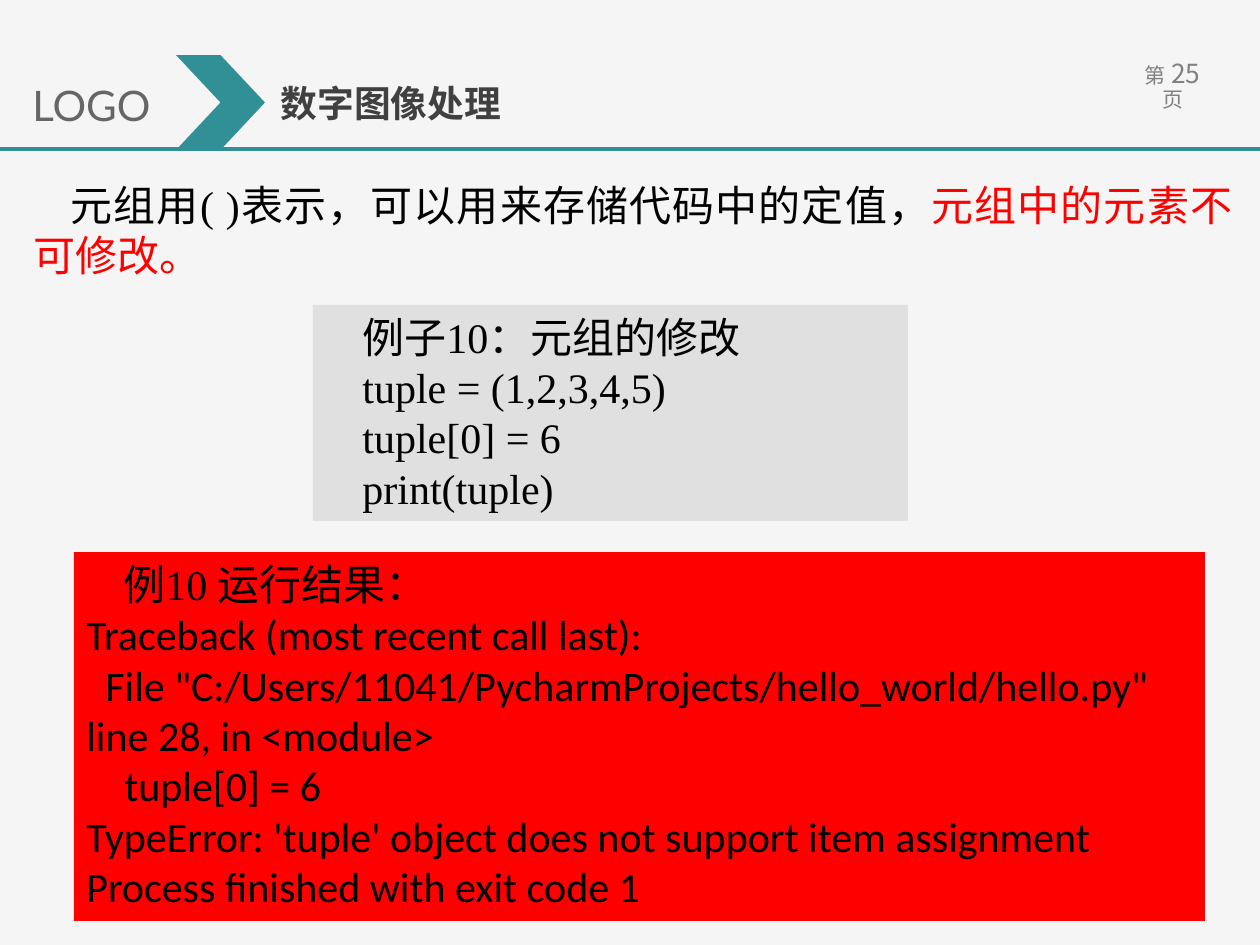
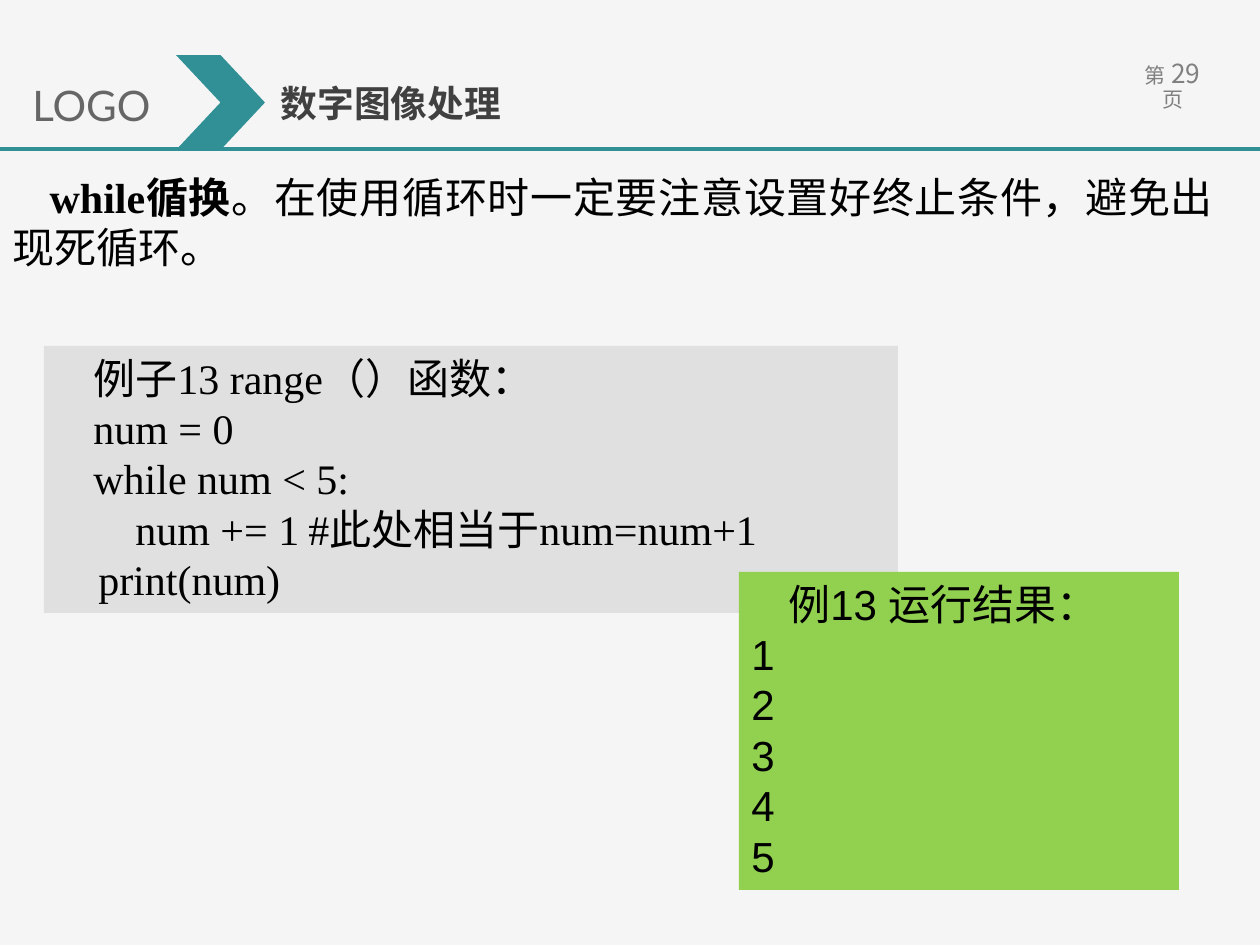
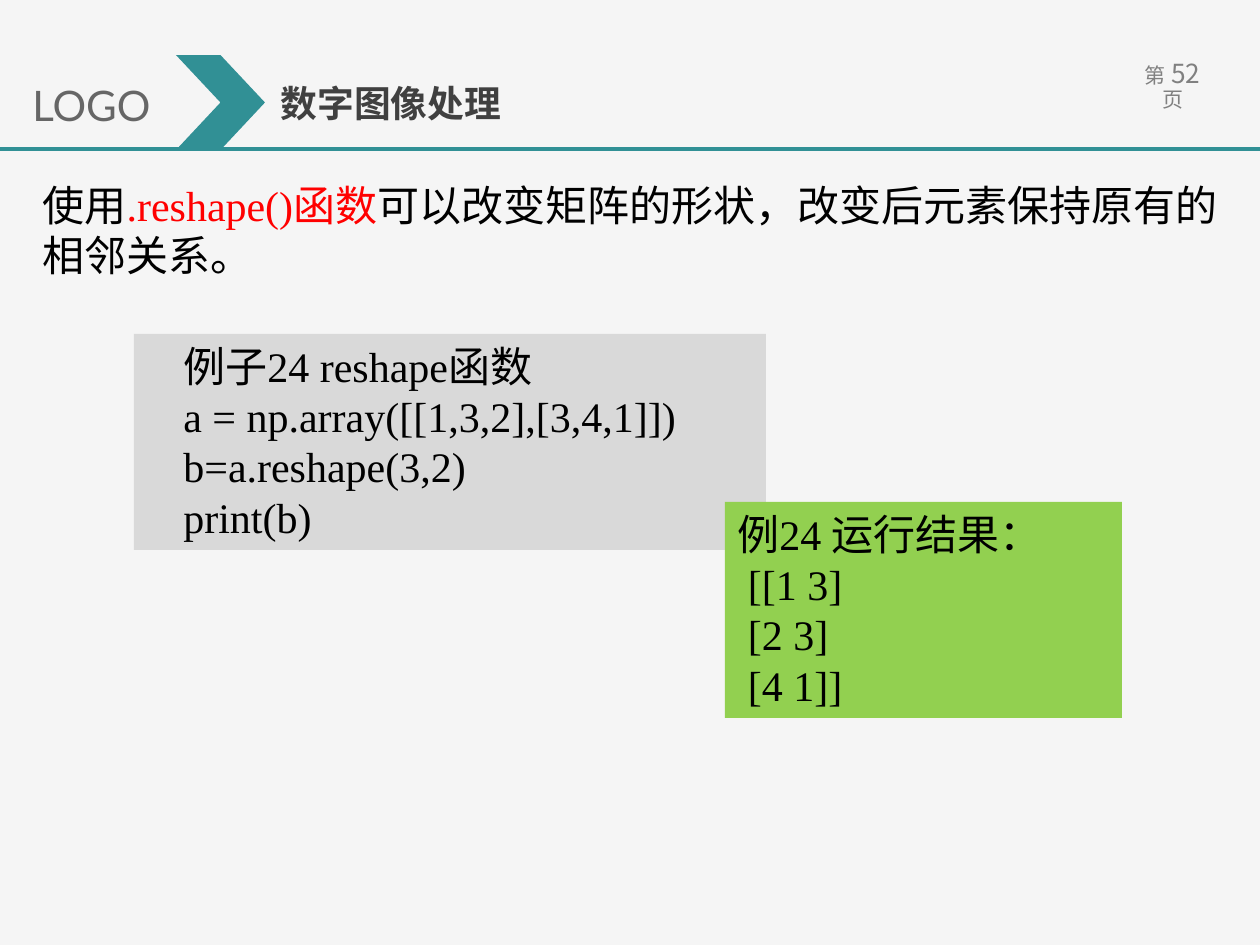
import pptx
import pptx.dml.color
import pptx.enum.shapes
import pptx.enum.text
import pptx.oxml.ns
import pptx.util
from lxml import etree

ALIGN = pptx.enum.text.PP_ALIGN
ANCHOR = pptx.enum.text.MSO_ANCHOR
SHAPE = pptx.enum.shapes.MSO_SHAPE
qn = pptx.oxml.ns.qn

COLORS = {
    "page": "F5F5F5", "teal": "319095", "title": "404040", "mark": "666666",
    "number": "808080", "black": "000000", "red": "FF0000",
    "code": "E0E0E0", "code_dark": "D9D9D9", "result": "92D050",
}
SERIF = "Times New Roman"
SANS = "Noto Sans CJK SC"
FIRST_INDENT = 37


def px(length):
    return pptx.util.Emu(round(length * 914400 / 126))


def color(name):
    return pptx.dml.color.RGBColor.from_string(COLORS[name])


def place(shape, left, top, width, height):
    shape.left, shape.top = px(left), px(top)
    shape.width, shape.height = px(width), px(height)


def set_frame(frame, anchor=ANCHOR.TOP):
    frame.auto_size = pptx.enum.text.MSO_AUTO_SIZE.NONE
    frame.word_wrap = True
    frame.vertical_anchor = anchor


def set_font(para, name, size, ink):
    para.font.name = name
    para.font.size = pptx.util.Pt(size)
    para.font.color.rgb = color(ink)


def add_span(para, text, ink=None, bold=None, size=None):
    span = para.add_run()
    span.text = text
    if ink:
        span.font.color.rgb = color(ink)
    if bold is not None:
        span.font.bold = bold
    if size:
        span.font.size = pptx.util.Pt(size)


def format_body_para(para, font=SERIF, indent=0, align=ALIGN.LEFT, tab=None):
    para.alignment = align
    para.line_spacing = pptx.util.Pt(28.8)
    para.space_before = pptx.util.Pt(0)
    properties = para._p.get_or_add_pPr()
    properties.set("marL", "0")
    properties.set("indent", str(px(indent)))
    etree.SubElement(properties, qn("a:buNone"))
    if tab:
        tabs = etree.SubElement(properties, qn("a:tabLst"))
        etree.SubElement(tabs, qn("a:tab"), pos=str(px(tab)), algn="l")
    set_font(para, font, 24, "black")


def add_label(page, bounds, text, font, size, ink):
    box = page.shapes.add_textbox(*map(px, bounds))
    set_frame(box.text_frame)
    para = box.text_frame.paragraphs[0]
    set_font(para, font, size, ink)
    add_span(para, text)


def add_page_number(page, number):
    box = page.shapes.add_textbox(*map(px, (1114, 55, 117, 44)))
    frame = box.text_frame
    set_frame(frame)
    frame.margin_left = frame.margin_right = px(18)
    para = frame.paragraphs[0]
    para.alignment = ALIGN.CENTER
    para.line_spacing = 0.9
    set_font(para, SANS, 13.5, "number")
    for text, size in (("第", 12), (" ", 13.5), (str(number), 15), (" ", 13.5), ("页", 12)):
        add_span(para, text, size=size)


def add_header(page, number):
    add_page_number(page, number)
    rule = page.shapes.add_connector(
        pptx.enum.shapes.MSO_CONNECTOR.STRAIGHT, px(0), px(149), px(1260), px(149))
    rule.line.color.rgb = color("teal")
    rule.line.width = pptx.util.Pt(2.25)
    etree.SubElement(rule._element.spPr, qn("a:effectLst"))

    title = page.shapes.title
    place(title, 268, 74, 760, 57)
    title.text_frame.text = "数字图像处理"
    set_frame(title.text_frame, ANCHOR.MIDDLE)
    para = title.text_frame.paragraphs[0]
    para.alignment = ALIGN.LEFT
    set_font(para, SANS, 21, "title")
    para.font.bold = True

    add_block(page, SHAPE.CHEVRON, (176, 55, 89, 95), "teal")
    add_label(page, (20, 73, 158, 64), "LOGO", "Lato", 24, "mark")


def add_block(page, kind, bounds, fill):
    block = page.shapes.add_shape(kind, *map(px, bounds))
    block.shadow.inherit = False
    block.fill.solid()
    block.fill.fore_color.rgb = color(fill)
    block.line.fill.background()
    return block


def add_intro(page, bounds, spans, indent=FIRST_INDENT, align=ALIGN.JUSTIFY):
    body = page.placeholders[1]
    place(body, *bounds)
    set_frame(body.text_frame)
    para = body.text_frame.paragraphs[0]
    format_body_para(para, indent=indent, align=align)
    for span in spans:
        add_span(para, **span)


def add_panel(page, bounds, fill, lines, indented=0, font=SERIF, head_font=None, tab=None):
    frame = add_block(page, SHAPE.RECTANGLE, bounds, fill).text_frame
    set_frame(frame)
    for index, text in enumerate(lines):
        para = frame.add_paragraph() if index else frame.paragraphs[0]
        line_font = head_font if head_font and index == 0 else font
        format_body_para(para, line_font, FIRST_INDENT if index < indented else 0,
                         tab=tab if "\t" in text else None)
        add_span(para, text)


def add_page(deck, number):
    page = deck.slides.add_slide(deck.slide_layouts[1])
    add_header(page, number)
    return page


def build_tuple_page(deck):
    page = add_page(deck, 25)
    add_intro(page, (21, 173, 1224, 115), [
        {"text": "元组用( )表示，可以用来存储代码中的定值，"},
        {"text": "元组中的元素不可修改。", "ink": "red"},
    ])
    add_panel(page, (313, 305, 595, 216), "code", [
        "例子10：元组的修改",
        "tuple = (1,2,3,4,5)",
        "tuple[0] = 6",
        "print(tuple)",
    ], indented=4)
    add_panel(page, (74, 552, 1131, 369), "red", [
        "例10 运行结果：",
        "Traceback (most recent call last):",
        '  File "C:/Users/11041/PycharmProjects/hello_world/hello.py" line 28, in <module>',
        "    tuple[0] = 6",
        "TypeError: 'tuple' object does not support item assignment",
        "Process finished with exit code 1",
    ], indented=1, font="Calibri", head_font=SERIF)


def build_while_page(deck):
    page = add_page(deck, 29)
    add_intro(page, (0, 165, 1226, 115), [
        {"text": "while循换", "bold": True},
        {"text": "。在使用循环时一定要注意设置好终止条件，避免出现死循环。"},
    ])
    add_panel(page, (44, 346, 854, 267), "code", [
        "例子13 range（）函数：",
        "num = 0",
        "while num < 5:",
        "    num += 1\t#此处相当于num=num+1",
        "    print(num)",
    ], indented=4, tab=359)
    results = [str(value) for value in range(1, 6)]
    add_panel(page, (739, 572, 440, 318), "result", ["例13 运行结果："] + results,
              indented=1, font="Arial")


def build_reshape_page(deck):
    page = add_page(deck, 52)
    add_intro(page, (30, 173, 1201, 115), [
        {"text": "使用"},
        {"text": ".reshape()函数", "ink": "red"},
        {"text": "可以改变矩阵的形状，改变后元素保持原有的相邻关系。"},
    ], indent=0, align=ALIGN.LEFT)
    add_panel(page, (134, 334, 632, 216), "code_dark", [
        "例子24 reshape函数",
        "a = np.array([[1,3,2],[3,4,1]])",
        "b=a.reshape(3,2)",
        "print(b)",
    ], indented=4)
    add_panel(page, (725, 502, 397, 216), "result", [
        "例24 运行结果：",
        " [[1 3]",
        " [2 3]",
        " [4 1]]",
    ])


def main():
    deck = pptx.Presentation()
    deck.slide_width, deck.slide_height = px(1260), px(945)
    background = deck.slide_master.background.fill
    background.solid()
    background.fore_color.rgb = color("page")
    build_tuple_page(deck)
    build_while_page(deck)
    build_reshape_page(deck)
    deck.save("out.pptx")


if __name__ == "__main__":
    main()
